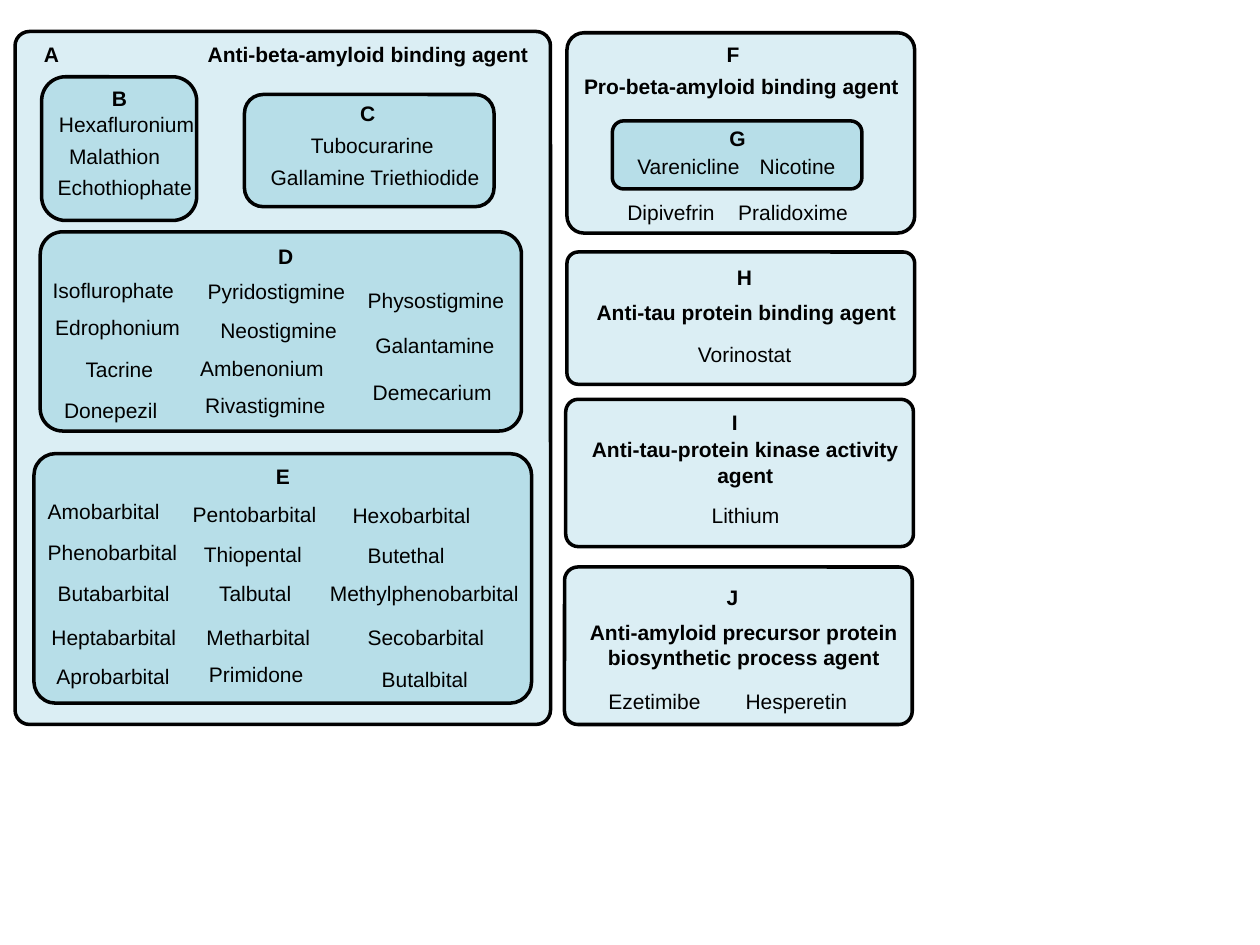
import pptx
import pptx.dml.color
import pptx.enum.shapes
import pptx.enum.text
import pptx.util

Pt = pptx.util.Pt

COLORS = {"group": "DBEEF4", "subgroup": "B7DEE8", "ink": "000000"}
FONT = "Arial"
FONT_SIZE = 12
LINE_HEIGHT = 21.6
DEFAULT_ROUNDING = 0.16667

# Panels: left, top, width, height, corner rounding
GROUPS = [
    (8.6, 18, 306, 396, 0.027),         # A
    (324, 18.7, 198.7, 114.5, 0.085),   # F
    (324, 144, 198.7, 75.6, 0.085),     # H
    (323.3, 228.2, 198.7, 84.2, 0.085), # I
    (322.6, 324, 198.7, 90, 0.085),     # J
]
SUBGROUPS = [
    (23.8, 43.9, 88.6, 82.1, DEFAULT_ROUNDING),   # B
    (139.7, 54, 142.6, 64.1, DEFAULT_ROUNDING),   # C
    (23, 132.5, 275, 113.8, 0.113),               # D
    (19.4, 259.2, 284.4, 142.6, 0.087),           # E
    (349.9, 69.1, 142.6, 38.9, DEFAULT_ROUNDING), # G
]

# Texts: wording, left, top, width
LETTERS = [
    ("A", 18, 20.2, 23), ("B", 56.9, 45.4, 23), ("C", 198.7, 54, 23),
    ("D", 151.9, 135.4, 23), ("E", 150.5, 261.4, 22.3),
    ("F", 408.2, 20.2, 22.3), ("G", 409.7, 68.4, 23.8),
    ("H", 414, 147.6, 23), ("I", 411.1, 230.4, 18), ("J", 408.2, 330.5, 20.9),
]
GROUP_A_HEADING = ("Anti-beta-amyloid binding agent", 111.6, 20.2, 200.2)
CENTRED_HEADINGS = [
    ("Pro-beta-amyloid binding agent", 324.7, 38.2, 198),
    ("Anti-tau protein binding agent", 330.5, 167.8, 192.2),
    ("Anti-tau-protein kinase activity agent", 329.8, 246.2, 192.2),
    ("Anti-amyloid precursor protein biosynthetic process agent", 329, 350.6, 192.2),
]
DRUGS = {
    "B": [
        ("Hexafluronium", 26.6, 60.5, 92.2),
        ("Malathion", 32.4, 78.5, 67),
        ("Echothiophate", 25.9, 96.5, 91.4),
    ],
    "C": [
        ("Tubocurarine", 170.6, 72, 85),
        ("Gallamine Triethiodide", 147.6, 90.7, 134.6),
    ],
    "D": [
        ("Isoflurophate", 23, 154.8, 84.2),
        ("Edrophonium", 24.5, 176.4, 86.4),
        ("Tacrine", 41.8, 200.2, 53.3),
        ("Donepezil", 29.5, 223.9, 68.4),
        ("Pyridostigmine", 111.6, 155.5, 93.6),
        ("Neostigmine", 118.8, 177.8, 81.4),
        ("Ambenonium", 107.3, 199.4, 85.7),
        ("Rivastigmine", 110.2, 221, 83.5),
        ("Physostigmine", 203, 160.6, 92.9),
        ("Galantamine", 207.4, 186.5, 82.8),
        ("Demecarium", 205.9, 213.1, 82.8),
    ],
    "E": [
        ("Amobarbital", 20.2, 281.5, 79.2),
        ("Phenobarbital", 20.2, 304.6, 88.6),
        ("Butabarbital", 25.9, 328.3, 79.2),
        ("Heptabarbital", 22.3, 353.5, 86.4),
        ("Aprobarbital", 25.2, 375.8, 79.2),
        ("Pentobarbital", 103, 283, 85.7),
        ("Thiopental", 109.4, 306, 70.6),
        ("Talbutal", 118.1, 328.3, 56.2),
        ("Metharbital", 110.9, 353.5, 74.2),
        ("Primidone", 112.3, 374.4, 69.1),
        ("Hexobarbital", 194.4, 283.7, 82.1),
        ("Butethal", 203, 306.7, 59),
        ("Methylphenobarbital", 181.4, 328.3, 123.1),
        ("Secobarbital", 203, 353.5, 81.4),
        ("Butalbital", 211, 377.3, 64.1),
    ],
    "F": [
        ("Dipivefrin", 351.4, 110.2, 64.8),
        ("Pralidoxime", 414.7, 110.2, 77.8),
    ],
    "G": [
        ("Varenicline", 357.1, 84.2, 73.4),
        ("Nicotine", 427, 84.2, 58.3),
    ],
    "H": [("Vorinostat", 391.7, 191.5, 68.4)],
    "I": [("Lithium", 399.6, 283.7, 53.3)],
    "J": [
        ("Ezetimibe", 340.6, 390.2, 67.7),
        ("Hesperetin", 419, 390.2, 72.7),
    ],
}


def color(name):
    return pptx.dml.color.RGBColor.from_string(COLORS[name])


def add_panel(slide, fill, left, top, width, height, rounding):
    panel = slide.shapes.add_shape(
        pptx.enum.shapes.MSO_SHAPE.ROUNDED_RECTANGLE,
        Pt(left), Pt(top), Pt(width), Pt(height))
    panel.adjustments[0] = rounding
    panel.shadow.inherit = False
    panel.fill.solid()
    panel.fill.fore_color.rgb = color(fill)
    panel.line.color.rgb = color("ink")
    panel.line.width = Pt(2)


def add_label(slide, wording, left, top, width, bold=False, centred=False):
    """Add one text; a centred one wraps within its width."""
    label = slide.shapes.add_textbox(Pt(left), Pt(top), Pt(width), Pt(LINE_HEIGHT))
    frame = label.text_frame
    frame.text = wording
    frame.word_wrap = centred
    frame.auto_size = pptx.enum.text.MSO_AUTO_SIZE.SHAPE_TO_FIT_TEXT
    paragraph = frame.paragraphs[0]
    if centred:
        paragraph.alignment = pptx.enum.text.PP_ALIGN.CENTER
    font = paragraph.runs[0].font
    font.name = FONT
    font.size = Pt(FONT_SIZE)
    font.bold = bold
    font.color.rgb = color("ink")


def main():
    presentation = pptx.Presentation()
    presentation.slide_width = Pt(720)
    presentation.slide_height = Pt(540)
    slide = presentation.slides.add_slide(presentation.slide_layouts[6])

    for fill, panels in (("group", GROUPS), ("subgroup", SUBGROUPS)):
        for panel in panels:
            add_panel(slide, fill, *panel)

    for heading in [*LETTERS, GROUP_A_HEADING]:
        add_label(slide, *heading, bold=True)
    for heading in CENTRED_HEADINGS:
        add_label(slide, *heading, bold=True, centred=True)
    for drugs in DRUGS.values():
        for drug in drugs:
            add_label(slide, *drug)

    presentation.save("out.pptx")


if __name__ == "__main__":
    main()
